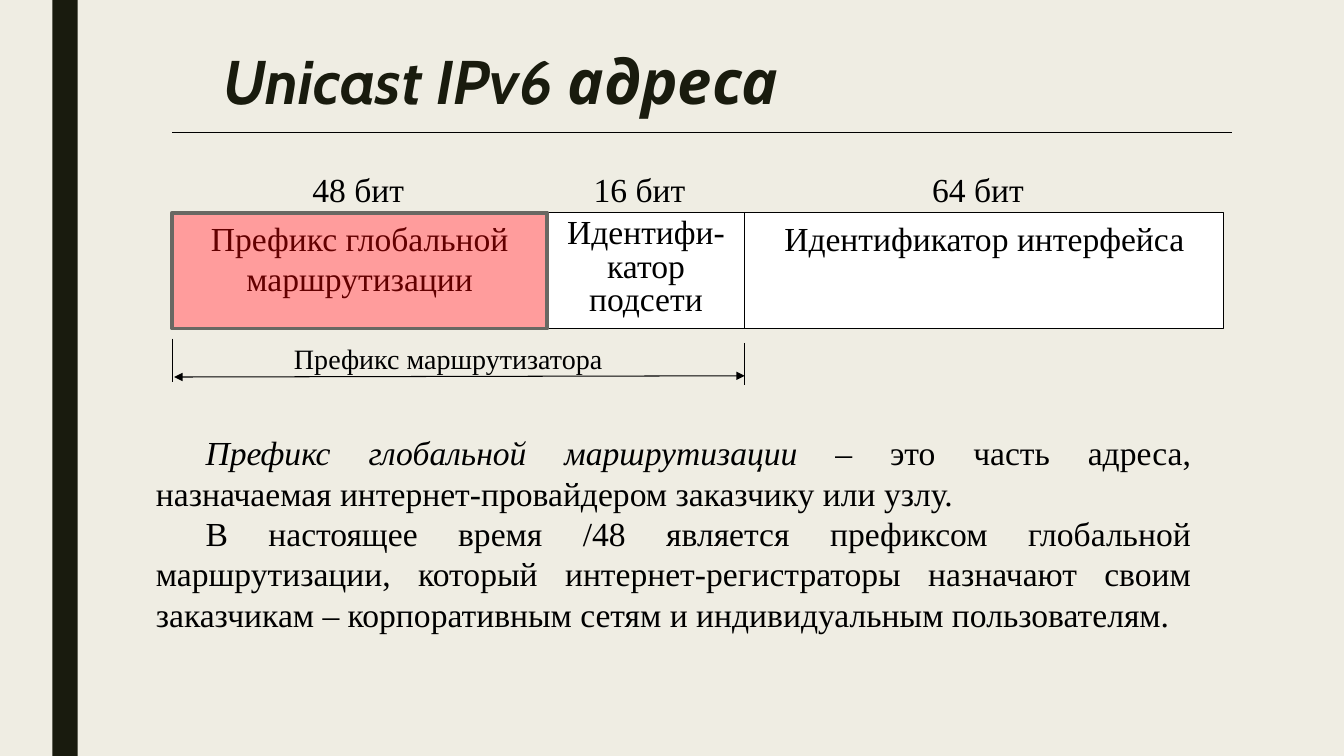
from typing import NamedTuple, Optional

from lxml import etree
from pptx import Presentation
from pptx import util as u
from pptx.dml.color import RGBColor
from pptx.enum import shapes, text
from pptx.oxml.ns import qn

COLORS = {"paper": "EFEDE3", "dark": "191B0E", "black": "000000",
          "white": "FFFFFF", "red": "FF0000", "grey": "686863"}
SERIF = "Times New Roman"
LEFT, FIELD_TOP, FIELD_H = 4.34, 5.36, 2.92
LABEL_W, LABEL_H = 3.23, 1.24


class Field(NamedTuple):
    name: str
    bits: str
    width: float
    label_left: float
    spacing: Optional[int] = None


class Line(NamedTuple):
    x1: float
    y1: float
    x2: float
    y2: float
    arrows: bool = False


FIELDS = [
    Field("Префикс глобальной маршрутизации", "48 бит", 9.45, 7.62),
    Field("Идентифи-катор подсети", "16 бит", 4.98, 14.71, 24),
    Field("Идентификатор интерфейса", "64 бит", 12.07, 23.24),
]
PREFIX_RIGHT = LEFT + FIELDS[0].width + FIELDS[1].width
LINES = [
    Line(LEFT, 3.33, 31.06, 3.33),
    Line(LEFT, 8.53, LEFT, 9.63),
    Line(PREFIX_RIGHT, 8.64, PREFIX_RIGHT, 9.7),
    Line(4.39, 9.5, PREFIX_RIGHT, 9.47, arrows=True),
]
BODY = [
    [("Префикс глобальной маршрутизации", True),
     (" – это часть адреса, назначаемая интернет-провайдером заказчику или узлу.", False)],
    [("В настоящее время /48 является префиксом глобальной маршрутизации, "
      "который интернет-регистраторы назначают своим заказчикам – "
      "корпоративным сетям и индивидуальным пользователям.", False)],
]


def rgb(name: str) -> RGBColor:
    return RGBColor.from_string(COLORS[name])


def style_run(r, size: float, font: str = SERIF, color: str = "black",
              bold: bool = False, italic: bool = False) -> None:
    r.font.size, r.font.name = u.Pt(size), font
    r.font.bold, r.font.italic = bold, italic
    r.font.color.rgb = rgb(color)


def add_box(s, left: float, top: float, width: float, height: float,
            fill: str, line: Optional[str] = None, weight: float = 0.75):
    sp = s.shapes.add_shape(shapes.MSO_SHAPE.RECTANGLE, u.Cm(left), u.Cm(top),
                            u.Cm(width), u.Cm(height))
    sp.shadow.inherit = False
    sp.fill.solid()
    sp.fill.fore_color.rgb = rgb(fill)
    if line:
        sp.line.color.rgb = rgb(line)
        sp.line.width = u.Pt(weight)
    else:
        sp.line.fill.background()
    return sp


def add_text(s, left: float, top: float, width: float, height: float):
    tf = s.shapes.add_textbox(u.Cm(left), u.Cm(top), u.Cm(width),
                              u.Cm(height)).text_frame
    tf.word_wrap = True
    return tf


def add_label(s, words: str, left: float, top: float, width: float, size: float) -> None:
    tf = add_text(s, left, top, width, LABEL_H)
    tf.text = words
    style_run(tf.paragraphs[0].runs[0], size)


def add_field(s, field: Field, left: float) -> None:
    tf = add_box(s, left, FIELD_TOP, field.width, FIELD_H, "white", "black").text_frame
    tf.text = field.name
    tf.vertical_anchor = text.MSO_ANCHOR.TOP
    p = tf.paragraphs[0]
    p.alignment = text.PP_ALIGN.CENTER
    if field.spacing:
        p.line_spacing = u.Pt(field.spacing)
    style_run(p.runs[0], 24)
    add_label(s, field.bits, field.label_left, FIELD_TOP - LABEL_H, LABEL_W, 24)


def add_line(s, line: Line) -> None:
    c = s.shapes.add_connector(shapes.MSO_CONNECTOR.STRAIGHT, u.Cm(line.x1),
                               u.Cm(line.y1), u.Cm(line.x2), u.Cm(line.y2))
    c.line.color.rgb = rgb("black")
    c.line.width = u.Pt(0.75)
    if line.arrows:
        for end in ("a:headEnd", "a:tailEnd"):
            etree.SubElement(c.line._get_or_add_ln(), qn(end), type="triangle")
    etree.SubElement(c._element.spPr, qn("a:effectLst"))


def add_title(s) -> None:
    tf = add_text(s, 5.38, 1.12, 25.65, 2.01)
    tf.text = "Unicast IPv6 адреса"
    tf.vertical_anchor = text.MSO_ANCHOR.MIDDLE
    p = tf.paragraphs[0]
    p.line_spacing = 0.89
    style_run(p.runs[0], 44, "Cabin", "dark", bold=True, italic=True)


def add_body(s) -> None:
    tf = add_text(s, 3.68, 10.77, 26.59, 5.38)
    for i, parts in enumerate(BODY):
        p = tf.add_paragraph() if i else tf.paragraphs[0]
        p.alignment = text.PP_ALIGN.JUSTIFY
        p._p.get_or_add_pPr().set("indent", str(u.Cm(1.25)))
        for words, italic in parts:
            r = p.add_run()
            r.text = words
            style_run(r, 24, italic=italic)


def add_highlight(s) -> None:
    """Tint the global prefix field with translucent red."""
    sp = add_box(s, LEFT, FIELD_TOP, FIELDS[0].width, FIELD_H, "red", "grey", 2.75)
    color = sp._element.spPr.find(qn("a:solidFill"))[0]
    etree.SubElement(color, qn("a:alpha"), val="39000")


def main() -> None:
    prs = Presentation()
    prs.slide_width, prs.slide_height = u.Cm(33.87), u.Cm(19.05)
    s = prs.slides.add_slide(prs.slide_layouts[6])
    s.background.fill.solid()
    s.background.fill.fore_color.rgb = rgb("paper")
    add_box(s, 1.32, 0, 0.64, 19.05, "dark")
    add_title(s)
    left = LEFT
    for field in FIELDS:
        add_field(s, field, left)
        left += field.width
    for line in LINES:
        add_line(s, line)
    add_label(s, "Префикс маршрутизатора", 7.16, 8.48, 12.24, 20)
    add_body(s)
    add_highlight(s)
    prs.save("out.pptx")


if __name__ == "__main__":
    main()
